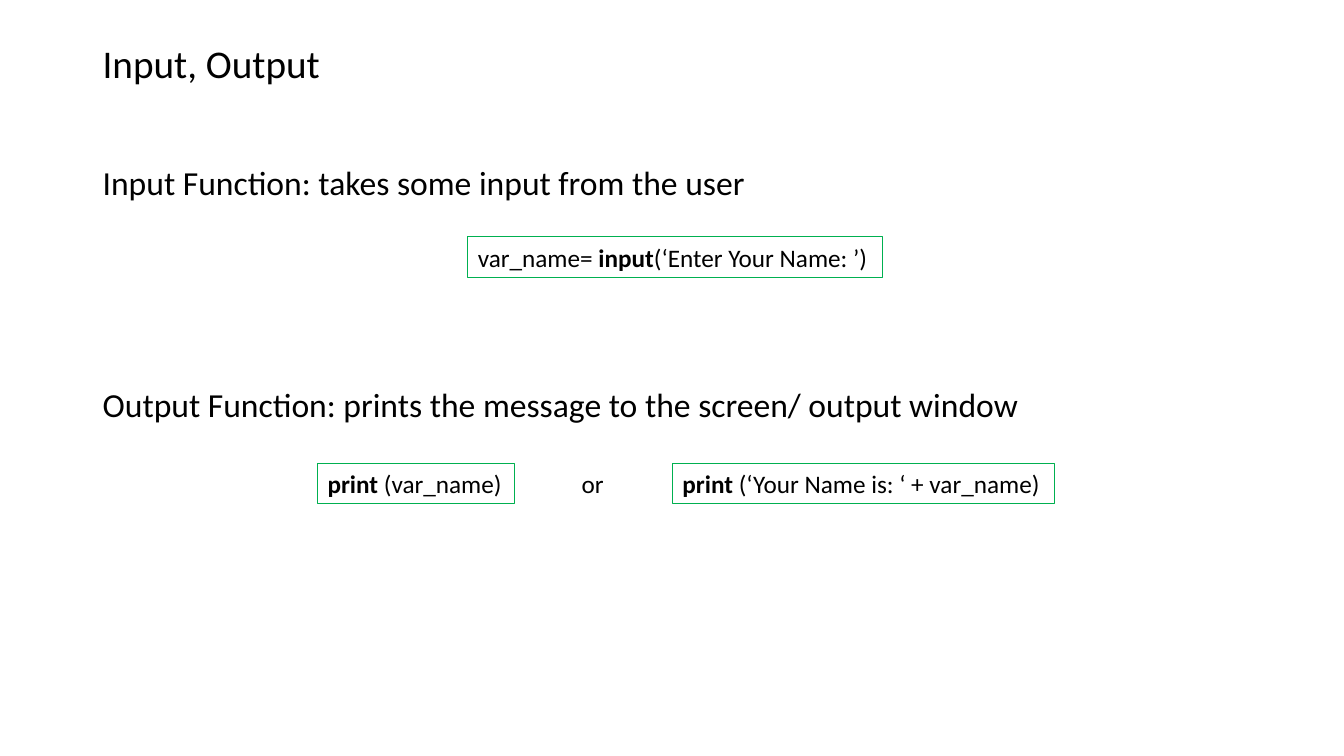
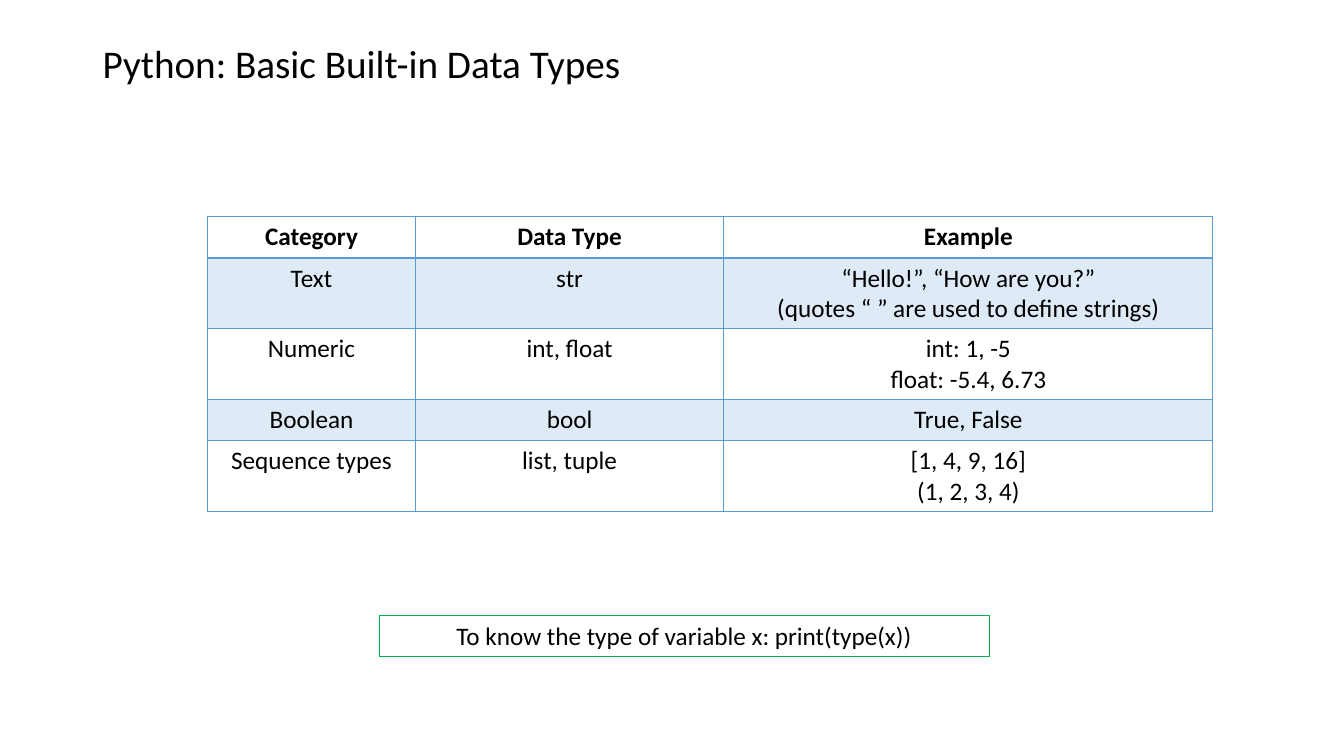
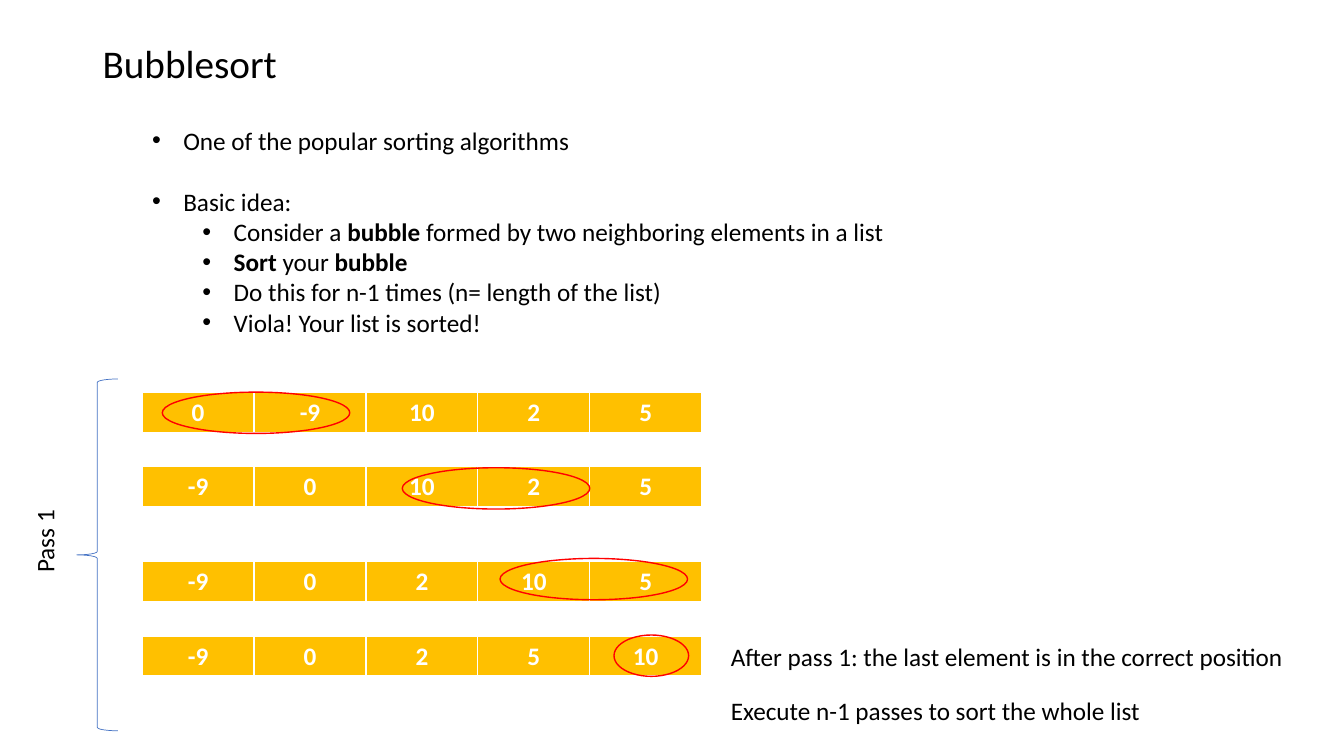
"""Build three slides on Python input and output, data types and bubblesort."""
from lxml import etree
from pptx import Presentation
from pptx import util as u
from pptx.dml.color import RGBColor
from pptx.enum import shapes, text
from pptx.oxml import ns

HUES = {
    "ink": "000000", "white": "FFFFFF", "green": "00B050", "blue": "5B9BD5",
    "pale": "DEEBF7", "gold": "FFC000", "red": "FF0000", "brace": "4472C4",
}
HUES = {name: RGBColor.from_string(code) for name, code in HUES.items()}
LEFT, CENTER = text.PP_ALIGN.LEFT, text.PP_ALIGN.CENTER
ROW = 0.41


def write(frame, lines, size=18, ink="ink", align=LEFT, bold=False):
    for i, line in enumerate(lines):
        para = frame.paragraphs[0] if i == 0 else frame.add_paragraph()
        para.alignment = align
        para.font.name, para.font.size = "Calibri", u.Pt(size)
        for j, part in enumerate(line.split("*")):
            if part:
                run = para.add_run()
                run.text = part
                run.font.bold = bold or j % 2 == 1
                run.font.color.rgb = HUES[ink]


def grid(slide, x, y, cols, rows, fills, edge, ink, heavy):
    frame = slide.shapes.add_table(
        len(rows), len(cols), u.Inches(x), u.Inches(y),
        u.Inches(sum(cols)), u.Inches(ROW * len(rows)))
    table = frame.table
    table.first_row = table.horz_banding = False
    for col, wide in zip(table.columns, cols):
        col.width = u.Inches(wide)
    for i, row in enumerate(rows):
        for j, value in enumerate(row):
            cell = table.cell(i, j)
            props = cell._tc.get_or_add_tcPr()
            sides = {"L": 1, "R": 1, "T": heavy if i == 1 else 1, "B": heavy if i == 0 else 1}
            for side, wide in sides.items():
                line = etree.SubElement(props, ns.qn("a:ln" + side), w=str(u.Pt(wide)))
                solid = etree.SubElement(line, ns.qn("a:solidFill"))
                etree.SubElement(solid, ns.qn("a:srgbClr"), val=str(HUES[edge]))
            if fills[i]:
                cell.fill.solid()
                cell.fill.fore_color.rgb = HUES[fills[i]]
            else:
                cell.fill.background()
            write(cell.text_frame, value.split("\n"), ink=ink, align=CENTER, bold=i == 0)


deck = Presentation()
deck.slide_width, deck.slide_height = u.Inches(13.33), u.Inches(7.5)
talk, types, sort = [deck.slides.add_slide(deck.slide_layouts[6]) for _ in range(3)]

heads = [
    (talk, 0.4, 28, "Input, Output"),
    (types, 0.4, 28, "Python: Basic Built-in Data Types"),
    (sort, 0.4, 28, "Bubblesort"),
    (talk, 1.58, 24, "Input Function: takes some input from the user"),
    (talk, 3.78, 24, "Output Function: prints the message to the screen/ output window"),
]
for slide, y, size, line in heads:
    box = slide.shapes.add_textbox(*map(u.Inches, (0.92, y, 11.5, 0.5)))
    frame = box.text_frame
    frame.word_wrap = True
    frame.vertical_anchor = text.MSO_ANCHOR.MIDDLE
    write(frame, [line], size)
    frame.paragraphs[0].line_spacing = 0.9

notes = [
    (talk, 4.64, 2.35, 4.11, "var_name= *input*(‘Enter Your Name: ’)", True, LEFT, 0),
    (talk, 3.15, 4.6, 1.95, "*print* (var_name)", True, LEFT, 0),
    (talk, 5.67, 4.6, 0.43, "or", False, LEFT, 0),
    (talk, 6.67, 4.6, 3.79, "*print* (‘Your Name is: ‘ + var_name)", True, LEFT, 0),
    (types, 3.76, 6.11, 6.05, "To know the type of variable x: print(type(x))", True, CENTER, 0),
    (sort, 7.15, 6.31, 6.1, "After pass 1: the last element is in the correct position",
     False, LEFT, 0),
    (sort, 7.15, 6.85, 6.1, "Execute n-1 passes to sort the whole list", False, LEFT, 0),
    (sort, -0.22, 4.92, 1.32, "Pass 1", False, LEFT, 270),
]
for slide, x, y, wide, line, framed, align, turn in notes:
    box = slide.shapes.add_textbox(*map(u.Inches, (x, y, wide, 0.4)))
    box.rotation = turn
    box.text_frame.word_wrap = True
    write(box.text_frame, [line], align=align)
    if framed:
        box.line.color.rgb = HUES["green"]
        box.line.width = u.Pt(0.75)

kinds = [
    ("Category", "Data Type", "Example"),
    ("Text", "str", "“Hello!”, “How are you?”\n(quotes “ ” are used to define strings)"),
    ("Numeric", "int, float", "int: 1, -5\nfloat: -5.4, 6.73"),
    ("Boolean", "bool", "True, False"),
    ("Sequence types", "list, tuple", "[1, 4, 9, 16]\n(1, 2, 3, 4)"),
]
grid(types, 2.06, 2.15, (2.06, 3.06, 4.85), kinds,
     (None, "pale", None, "pale", None), "blue", "ink", 2)

ideas = [
    (0, "One of the popular sorting algorithms"),
    (0, "Basic idea:"),
    (1, "Consider a *bubble *formed by two neighboring elements in a list"),
    (1, "*Sort *your *bubble*"),
    (1, "Do this for n-1 times (n= length of the list)"),
    (1, "Viola! Your list is sorted!"),
]
box = sort.shapes.add_textbox(*map(u.Inches, (1.41, 1.19, 8.97, 2.22)))
box.text_frame.word_wrap = True
write(box.text_frame, [line for _, line in ideas])
for para, (level, _) in zip(box.text_frame.paragraphs, ideas):
    para.level = level
    props = para._p.get_or_add_pPr()
    props.set("marL", str(u.Inches(0.31 + 0.5 * level)))
    props.set("indent", str(u.Inches(-0.31)))
    face = etree.Element(ns.qn("a:buFont"), typeface="Arial")
    dot = etree.Element(ns.qn("a:buChar"), char="•")
    props.insert(0, face)
    props.insert(1, dot)
box.text_frame.paragraphs[0].space_after = u.Pt(22)

steps = [
    (3.89, "0 -9 10 2 5", 1.61, 3.89, 1.86),
    (4.63, "-9 0 10 2 5", 3.99, 4.64, 1.86),
    (5.57, "-9 0 2 10 5", 4.96, 5.54, 1.86),
    (6.31, "-9 0 2 5 10", 6.09, 6.3, 0.74),
]
for y, row, x, top, wide in steps:
    grid(sort, 1.41, y, [1.11] * 5, [row.split()], ["gold"], "white", "white", 3)
    ring = sort.shapes.add_shape(
        shapes.MSO_SHAPE.OVAL, *map(u.Inches, (x, top, wide, ROW)))
    ring.shadow.inherit = False
    ring.fill.background()
    ring.line.color.rgb = HUES["red"]
    ring.line.width = u.Pt(1)

brace = sort.shapes.add_shape(
    shapes.MSO_SHAPE.LEFT_BRACE, *map(u.Inches, (0.76, 3.76, ROW, 3.49)))
brace.shadow.inherit = False
brace.fill.background()
brace.line.color.rgb = HUES["brace"]
brace.line.width = u.Pt(0.5)

deck.save("out.pptx")
